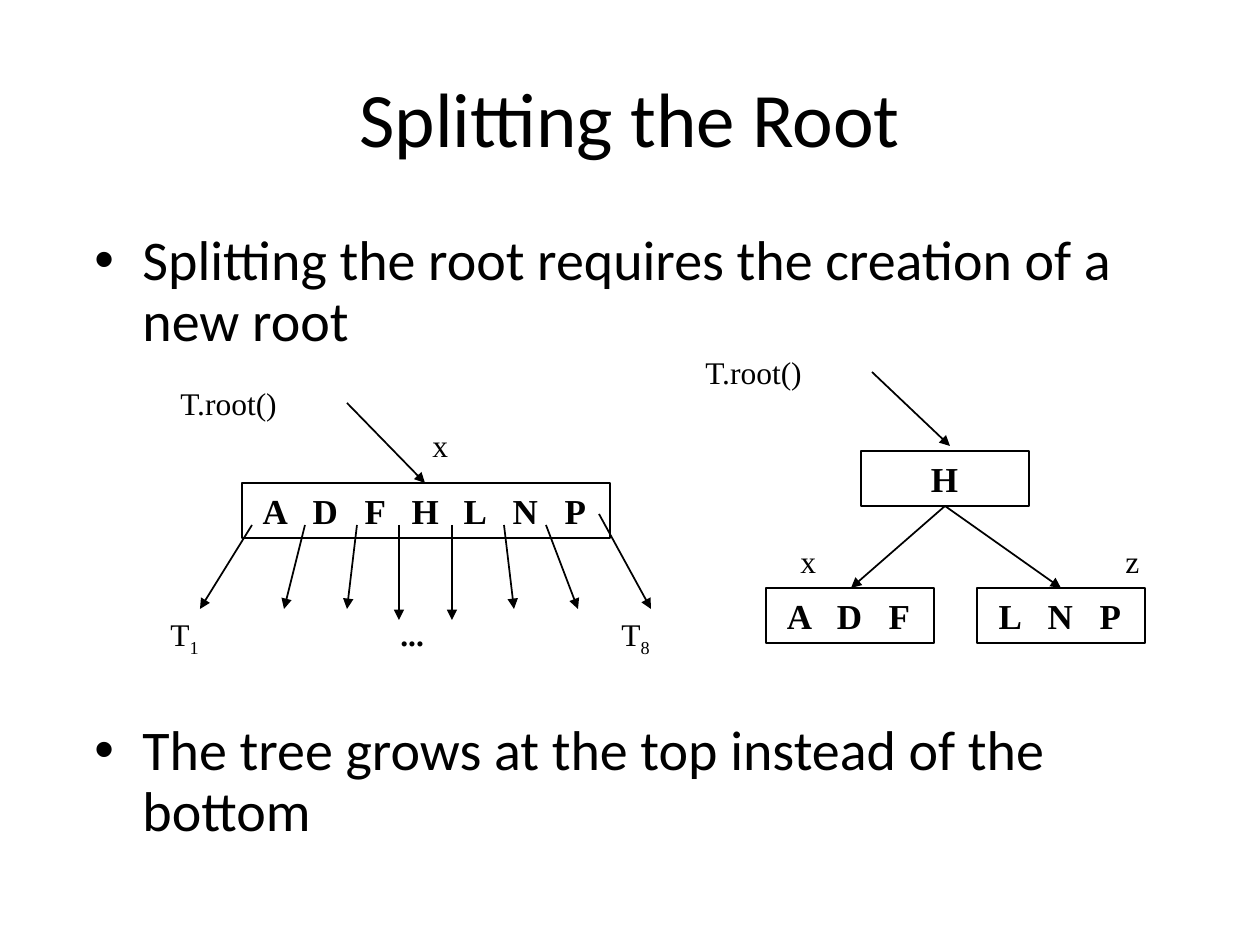
from lxml import etree
from pptx import Presentation
from pptx.dml.color import RGBColor
from pptx.enum.shapes import MSO_CONNECTOR, MSO_SHAPE
from pptx.enum.text import MSO_ANCHOR, PP_ALIGN
from pptx.oxml.ns import qn
from pptx.util import Emu, Pt

RECTANGLE = MSO_SHAPE.RECTANGLE
STRAIGHT = MSO_CONNECTOR.STRAIGHT
TOP, MIDDLE = MSO_ANCHOR.TOP, MSO_ANCHOR.MIDDLE
LEFT, CENTER = PP_ALIGN.LEFT, PP_ALIGN.CENTER

COLORS = {"ink": "000000", "paper": "FFFFFF"}
SANS, SERIF = "Calibri", "Times New Roman"
PX_PER_INCH = 126
INSET = 13
KEY_PITCH = 50
NODE_HEIGHT = 55
LABEL_HEIGHT = 50


def px(length):
    return Emu(round(length * 914400 / PX_PER_INCH))


def color(name):
    return RGBColor.from_string(COLORS[name])


def add_span(para, text, size, font, bold=False, subscript=False):
    span = para.add_run()
    span.text = text
    span.font.size = Pt(size)
    span.font.name = font
    span.font.bold = bold
    span.font.color.rgb = color("ink")
    if subscript:
        span._r.get_or_add_rPr().set("baseline", "-25000")


def add_text_box(page, left, top, width, height, anchor=TOP):
    frame = page.shapes.add_textbox(px(left), px(top), px(width), px(height)).text_frame
    frame.word_wrap = True
    frame.vertical_anchor = anchor
    return frame


def add_label(page, left, top, text, subscript="", width=73, bold=False):
    para = add_text_box(page, left, top, width, LABEL_HEIGHT).paragraphs[0]
    add_span(para, text, 18, SERIF, bold)
    if subscript:
        add_span(para, subscript, 18, SERIF, subscript=True)


def add_arrow(page, left, top, start, end):
    """Draw an arrow between two points given relative to left and top."""
    arrow = page.shapes.add_connector(
        STRAIGHT, px(left + start[0]), px(top + start[1]),
        px(left + end[0]), px(top + end[1]))
    arrow.line.color.rgb = color("ink")
    arrow.line.width = Pt(1)
    line = arrow.line._get_or_add_ln()
    etree.SubElement(line, qn("a:tailEnd"), type="triangle")
    etree.SubElement(arrow._element.spPr, qn("a:effectLst"))


def add_node(page, left, top, width, keys):
    """Draw a tree node with its keys evenly spaced on centred tab stops."""
    node = page.shapes.add_shape(RECTANGLE, px(left), px(top), px(width), px(NODE_HEIGHT))
    node.shadow.inherit = False
    node.fill.background()
    node.line.color.rgb = color("ink")
    node.line.width = Pt(1)
    node.text_frame.vertical_anchor = TOP
    para = node.text_frame.paragraphs[0]
    para.alignment = LEFT
    stops = etree.SubElement(para._p.get_or_add_pPr(), qn("a:tabLst"))
    first = width / 2 - INSET - (len(keys) - 1) / 2 * KEY_PITCH
    for index, key in enumerate(keys):
        etree.SubElement(stops, qn("a:tab"), pos=str(px(first + index * KEY_PITCH)), algn="ctr")
        add_span(para, "\t" + key, 20, SERIF, bold=True)


def add_title(page, left, top, width, height):
    para = add_text_box(page, left, top, width, height, MIDDLE).paragraphs[0]
    para.alignment = CENTER
    add_span(para, "Splitting the Root", 44, SANS)


def add_bullets(page, left, top, width, height):
    """Place the two statements, leaving room for the trees between them."""
    frame = add_text_box(page, left, top, width, height)
    statements = [
        ("Splitting the root requires the creation of a new root", 0),
        ("The tree grows at the top instead of the bottom", 211),
    ]
    for index, (text, space) in enumerate(statements):
        para = frame.add_paragraph() if index else frame.paragraphs[0]
        para.line_spacing = 0.9
        para.space_before = Pt(space)
        props = para._p.get_or_add_pPr()
        props.set("marL", str(px(48)))
        props.set("indent", str(-px(48)))
        etree.SubElement(props, qn("a:buFont"), typeface="Arial")
        etree.SubElement(props, qn("a:buChar"), char="•")
        add_span(para, text, 32, SANS)


def add_tree_before(page, left, top):
    """Draw the full root and its eight subtrees."""
    add_label(page, left + 10, top, "T.root()", width=179)
    add_label(page, left + 262, top + 42, "x")
    add_node(page, left + 84, top + 105, 368, "ADFHLNP")
    add_arrow(page, left, top, (189, 25), (267, 105))
    branches = [
        ((94, 147), (42, 231)), ((147, 147), (126, 231)),
        ((199, 147), (189, 231)), ((241, 147), (241, 242)),
        ((294, 147), (294, 242)), ((346, 147), (356, 231)),
        ((388, 147), (420, 231)), ((441, 136), (493, 231)),
    ]
    for start, end in branches:
        add_arrow(page, left, top, start, end)
    add_label(page, left, top + 231, "T", "1")
    add_label(page, left + 230, top + 231, "...", bold=True)
    add_label(page, left + 451, top + 231, "T", "8")


def add_tree_after(page, left, top):
    """Draw the new root above the two halves of the old one."""
    add_label(page, left, top, "T.root()", width=179)
    add_arrow(page, left, top, (179, 25), (257, 99))
    add_node(page, left + 168, top + 104, 168, "H")
    halves = [("ADF", 73, 158, "x", 95), ("LNP", 284, 368, "z", 420)]
    for keys, node_left, tip, name, name_left in halves:
        add_node(page, left + node_left, top + 241, 168, keys)
        add_arrow(page, left, top, (252, 159), (tip, 241))
        add_label(page, left + name_left, top + 189, name)


def main():
    deck = Presentation()
    deck.slide_width, deck.slide_height = px(1260), px(945)
    page = deck.slides.add_slide(deck.slide_layouts[6])
    page.background.fill.solid()
    page.background.fill.fore_color.rgb = color("paper")
    add_bullets(page, 82, 226, 1152, 660)
    add_title(page, 63, 38, 1134, 158)
    add_tree_before(page, 158, 378)
    add_tree_after(page, 693, 347)
    deck.save("out.pptx")


if __name__ == "__main__":
    main()
